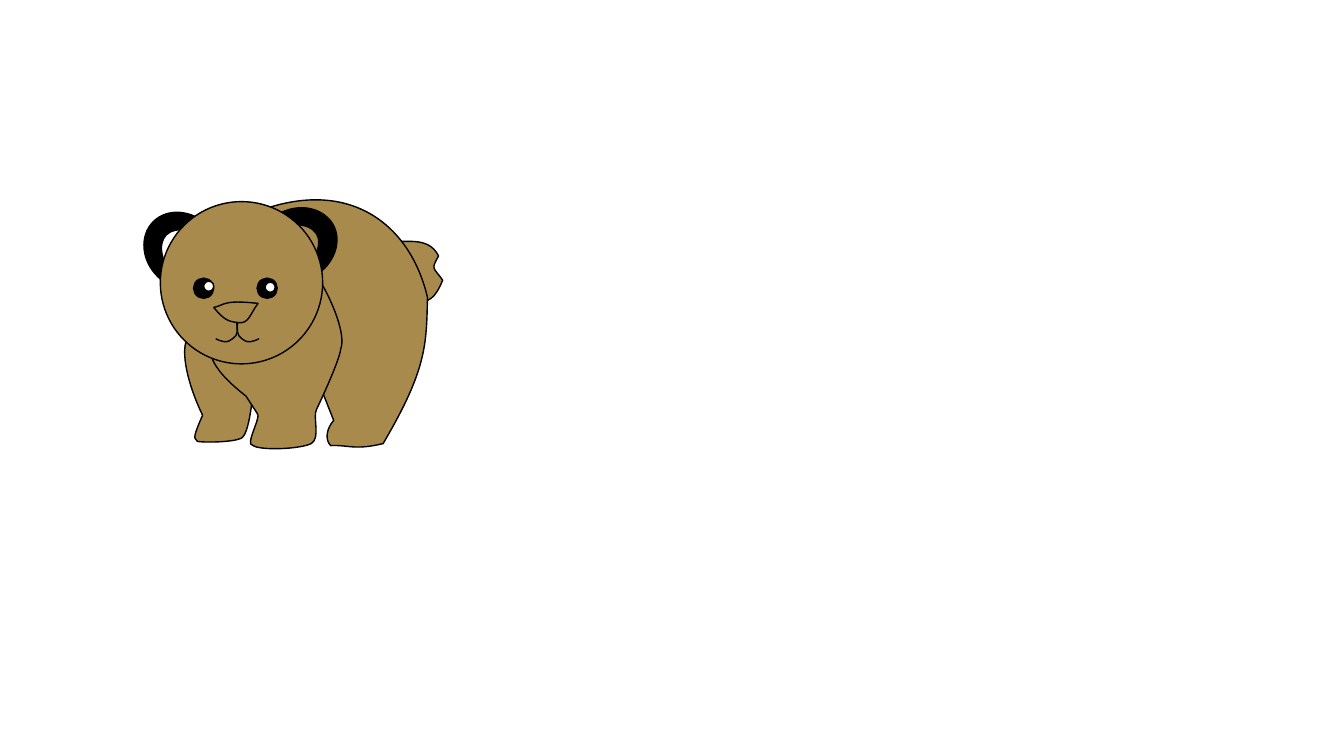
"""Draw a brown bear cub from curved outlines and ovals."""
from lxml import etree
from pptx import Presentation
from pptx.dml.color import RGBColor
from pptx.enum.shapes import MSO_SHAPE
from pptx.oxml.ns import qn
from pptx.util import Inches, Pt

OVAL = MSO_SHAPE.OVAL
WIDE, HIGH = 13.33, 7.5
UNIT = 1000
STEPS = 24
HUES = {"fur": "A98A4D", "ink": "000000", "glint": "FFFFFF"}

# Each outline: a start point, then lines (2 numbers) or curves (6 numbers).
TAIL = [(3.84, 2.38), (3.98, 2.43, 4.24, 2.32, 4.35, 2.54),
        (4.27, 2.68, 4.3, 2.65, 4.39, 2.78),
        (4.24, 3.16, 4.09, 2.89, 3.95, 2.95), (3.84, 2.38)]
BODY = [(2.5, 2.12), (3.42, 1.74, 4.06, 2.19, 4.24, 2.95),
        (4.23, 3.43, 4.23, 3.67, 3.8, 4.4),
        (3.51, 4.47, 3.45, 4.41, 3.28, 4.42),
        (3.22, 4.36, 3.24, 4.25, 3.31, 4.17), (2.5, 2.12)]
FAR_LEG = [(1.85, 3.38), (2.55, 3.38), (2.53, 3.79),
           (2.5, 3.92, 2.48, 4.31, 2.39, 4.35),
           (2.29, 4.39, 2.03, 4.39, 1.96, 4.38),
           (1.95, 4.34, 1.88, 4.41, 2.01, 4.12),
           (1.85, 3.79, 1.8, 3.49, 1.85, 3.38)]
NEAR_LEG = [(2.07, 3.35), (3.14, 2.73), (3.31, 3, 3.43, 3.33, 3.38, 3.46),
            (3.37, 3.57, 3.18, 3.98, 3.14, 4.06),
            (3.1, 4.14, 3.18, 4.34, 3.09, 4.4),
            (2.97, 4.46, 2.57, 4.47, 2.51, 4.42),
            (2.42, 4.42, 2.6, 4.13, 2.55, 4.1), (2.44, 3.93),
            (2.03, 3.61, 2.09, 3.48, 2.07, 3.35)]
LEFT_EAR = [(2.07, 2.24), (2.15, 2.33, 2.2, 2.43, 2.2, 2.53), (2.2, 2.54),
            (2.18, 2.51), (2.17, 2.49, 2.15, 2.47, 2.13, 2.45),
            (1.96, 2.29, 1.75, 2.23, 1.65, 2.33),
            (1.55, 2.43, 1.61, 2.64, 1.77, 2.81),
            (1.79, 2.83, 1.81, 2.84, 1.84, 2.86), (1.87, 2.88), (1.85, 2.88),
            (1.75, 2.88, 1.65, 2.83, 1.57, 2.75),
            (1.4, 2.59, 1.38, 2.34, 1.52, 2.2),
            (1.66, 2.06, 1.9, 2.08, 2.07, 2.24)]
RIGHT_EAR = [(3.12, 2.74), (3.02, 2.8, 2.91, 2.82, 2.81, 2.81), (2.8, 2.8),
             (2.83, 2.79), (2.86, 2.78, 2.88, 2.76, 2.91, 2.75),
             (3.11, 2.63, 3.21, 2.43, 3.14, 2.32),
             (3.06, 2.2, 2.84, 2.2, 2.65, 2.32),
             (2.62, 2.34, 2.6, 2.35, 2.58, 2.37), (2.55, 2.4), (2.55, 2.38),
             (2.58, 2.28, 2.65, 2.2, 2.75, 2.13),
             (2.95, 2.01, 3.19, 2.05, 3.3, 2.22),
             (3.4, 2.39, 3.32, 2.62, 3.12, 2.74)]
RIGHT_LIP = [(2.38, 3.14), (2.35, 3.19, 2.34, 3.29, 2.37, 3.33),
             (2.4, 3.36, 2.44, 3.43, 2.57, 3.36)]
LEFT_LIP = [(2.33, 3.14), (2.35, 3.19, 2.37, 3.29, 2.34, 3.33),
            (2.3, 3.36, 2.27, 3.43, 2.14, 3.36)]
NOSE = [(2.12, 3.05), (2.23, 3.03, 2.2, 2.97, 2.56, 3.01),
        (2.48, 3.11, 2.47, 3.22, 2.36, 3.2),
        (2.26, 3.19, 2.22, 3.17, 2.12, 3.05)]

# Back to front: an outline, or an oval as (left, top, size), and its hue.
PARTS = [(TAIL, "fur"), (BODY, "fur"), (FAR_LEG, "fur"), (NEAR_LEG, "fur"),
         (LEFT_EAR, "ink"), (RIGHT_EAR, "ink"),
         ((1.59, 2, 1.61), "fur"),
         ((1.92, 2.76, 0.2), "ink"), ((2.55, 2.76, 0.2), "ink"),
         (RIGHT_LIP, None), (LEFT_LIP, None), (NOSE, "fur"),
         ((2.63, 2.8, 0.1), "glint"), ((2.02, 2.79, 0.1), "glint")]


def pairs(step):
    return list(zip(step[::2], step[1::2]))


def trace(steps):
    """List the points that an outline passes through."""
    dots = [steps[0]]
    for step in steps[1:]:
        if len(step) == 2:
            dots.append(step)
            continue
        knots = [dots[-1]] + pairs(step)
        for i in range(1, STEPS + 1):
            t = i / STEPS
            mix = ((1 - t) ** 3, 3 * t * (1 - t) ** 2, 3 * t * t * (1 - t), t ** 3)
            dots.append(tuple(sum(m * k[a] for m, k in zip(mix, knots))
                              for a in (0, 1)))
    return dots


def outline(group, steps, closed):
    """Size a freeform by its traced points, then give it true curves."""
    dots = [(x * UNIT, y * UNIT) for x, y in trace(steps)]
    pen = group.shapes.build_freeform(*dots[0], scale=Inches(1) / UNIT)
    pen.add_line_segments(dots[1:], close=closed)
    shape = pen.convert_to_shape()
    left, top = (min(axis) for axis in zip(*dots))
    route = next(shape.element.iter(qn("a:path")))
    for node in list(route):
        route.remove(node)
    for i, step in enumerate(steps):
        tag = "a:moveTo" if i == 0 else "a:lnTo" if len(step) == 2 else "a:cubicBezTo"
        node = etree.SubElement(route, qn(tag))
        for x, y in pairs(step):
            etree.SubElement(node, qn("a:pt"), x=str(round(x * UNIT - left)),
                             y=str(round(y * UNIT - top)))
    if closed:
        etree.SubElement(route, qn("a:close"))
    return shape


def oval(group, left, top, size):
    return group.shapes.add_shape(OVAL, *map(Inches, (left, top, size, size)))


def paint(shape, hue):
    shape.shadow.inherit = False
    if hue:
        shape.fill.solid()
        shape.fill.fore_color.rgb = RGBColor.from_string(HUES[hue])
    else:
        shape.fill.background()
    shape.line.color.rgb = RGBColor.from_string(HUES["ink"])
    shape.line.width = Pt(1)


def main():
    deck = Presentation()
    deck.slide_width, deck.slide_height = Inches(WIDE), Inches(HIGH)
    slide = deck.slides.add_slide(deck.slide_layouts[6])
    bear = slide.shapes.add_group_shape()
    for form, hue in PARTS:
        if isinstance(form, list):
            shape = outline(bear, form, closed=hue is not None)
        else:
            shape = oval(bear, *form)
        paint(shape, hue)
    deck.save("out.pptx")


if __name__ == "__main__":
    main()
